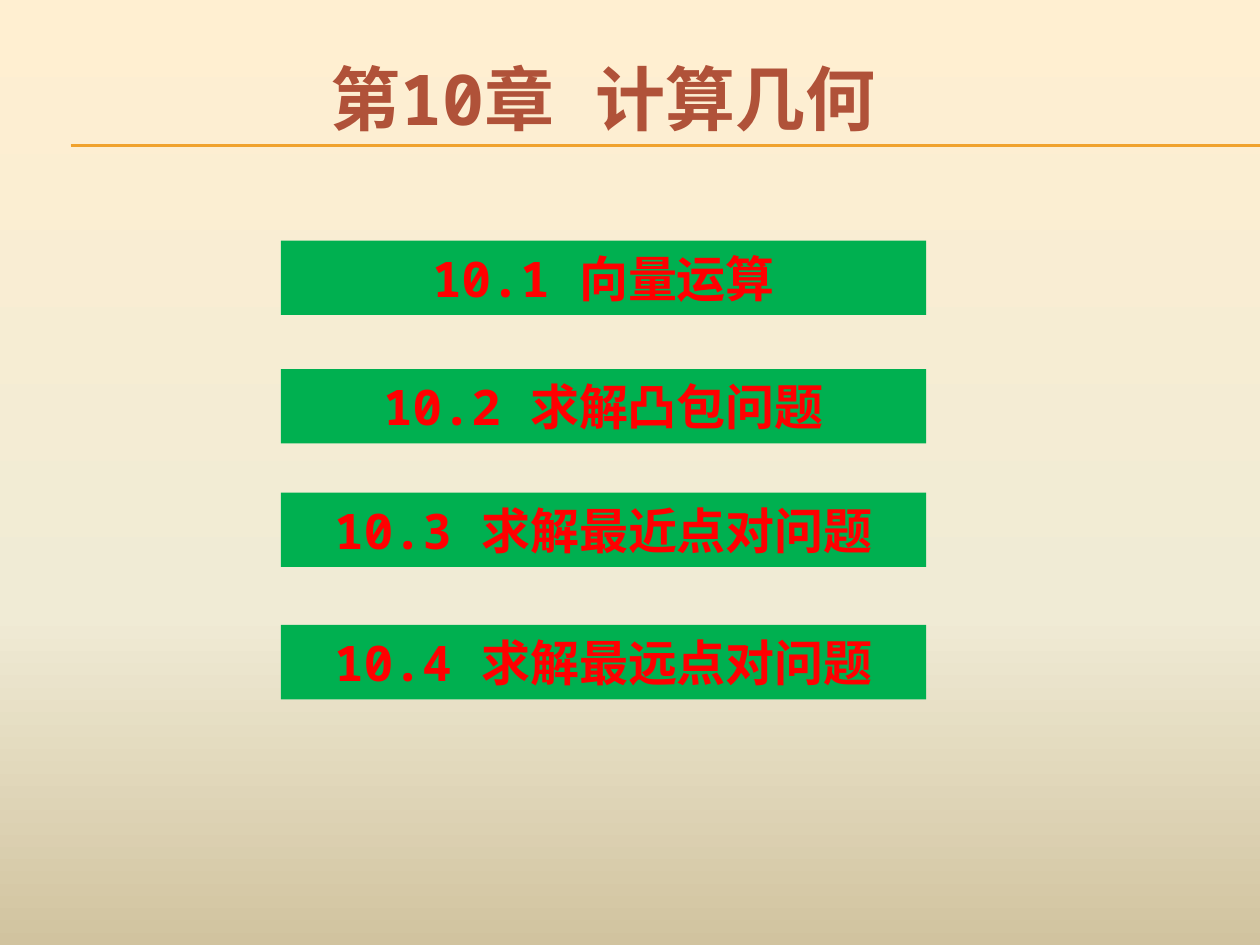
import dataclasses

import lxml.etree
import pptx
import pptx.dml.color
import pptx.enum.shapes
import pptx.enum.text
import pptx.oxml
import pptx.oxml.ns
import pptx.util

WIDTH, HEIGHT = 10, 7.5
FONT = "Noto Sans Mono"
COLORS = {
    "title": "B05239",
    "rule": "F0A22E",
    "bar": "00B050",
    "bar_text": "FF0000",
}
BACKGROUND = ((0, "FFEFD1"), (65, "F0EBD5"), (100, "D1C39F"))
BAR_LEFT, BAR_WIDTH, BAR_HEIGHT = 2.23, 5.12, 0.59
RULE_LEFT = 0.56

qn = pptx.oxml.ns.qn
inch = pptx.util.Inches


@dataclasses.dataclass
class Section:
    text: str
    top: float


SECTIONS = (
    Section("10.1 向量运算", 1.91),
    Section("10.2 求解凸包问题", 2.93),
    Section("10.3 求解最近点对问题", 3.91),
    Section("10.4 求解最远点对问题", 4.96),
)


def rgb(name: str) -> pptx.dml.color.RGBColor:
    return pptx.dml.color.RGBColor.from_string(COLORS[name])


def set_background(slide) -> None:
    """Fill the background with a gradient running from top to bottom."""
    fill = slide.background.fill
    fill.gradient()
    fill.gradient_angle = 270  # counter-clockwise, so downwards
    stops = slide.background._cSld.find(".//" + qn("a:gsLst"))
    for stop in list(stops):
        stops.remove(stop)
    for share, color in BACKGROUND:
        stop = lxml.etree.SubElement(stops, qn("a:gs"), pos=str(share * 1000))
        lxml.etree.SubElement(stop, qn("a:srgbClr"), val=color)


def add_rule(slide, top: float) -> None:
    line = slide.shapes.add_connector(
        pptx.enum.shapes.MSO_CONNECTOR.STRAIGHT,
        inch(RULE_LEFT), inch(top), inch(WIDTH), inch(top))
    line.line.color.rgb = rgb("rule")
    line.line.width = pptx.util.Pt(0.75)
    lxml.etree.SubElement(line._element.spPr, qn("a:effectLst"))


def set_text(sp, text: str, size: float, color: str) -> None:
    tf = sp.text_frame
    tf.text = text
    tf.word_wrap = True
    tf.auto_size = pptx.enum.text.MSO_AUTO_SIZE.SHAPE_TO_FIT_TEXT
    p = tf.paragraphs[0]
    p.alignment = pptx.enum.text.PP_ALIGN.CENTER
    font = p.runs[0].font
    font.name = FONT
    font.size = pptx.util.Pt(size)
    font.bold = True
    font.color.rgb = rgb(color)
    # Chinese characters take the East Asian typeface
    lxml.etree.SubElement(font._element, qn("a:ea"), typeface=FONT)


def add_bar(slide, section: Section) -> None:
    sp = slide.shapes.add_shape(
        pptx.enum.shapes.MSO_SHAPE.RECTANGLE, inch(BAR_LEFT),
        inch(section.top), inch(BAR_WIDTH), inch(BAR_HEIGHT))
    sp.shadow.inherit = False
    sp.fill.solid()
    sp.fill.fore_color.rgb = rgb("bar")
    sp.line.fill.background()
    set_text(sp, section.text, 28, "bar_text")


def main() -> None:
    prs = pptx.Presentation()
    prs.slide_width, prs.slide_height = inch(WIDTH), inch(HEIGHT)
    slide = prs.slides.add_slide(prs.slide_layouts[6])
    set_background(slide)

    # Double rule under the title
    for top in (1.15, 1.16):
        add_rule(slide, top)

    # Chapter title
    title = slide.shapes.add_textbox(
        inch(2.11), inch(0.39), inch(5.35), inch(0.77))
    set_text(title, "第10章 计算几何", 40, "title")

    # Section bars
    for section in SECTIONS:
        add_bar(slide, section)

    prs.save("out.pptx")


if __name__ == "__main__":
    main()
